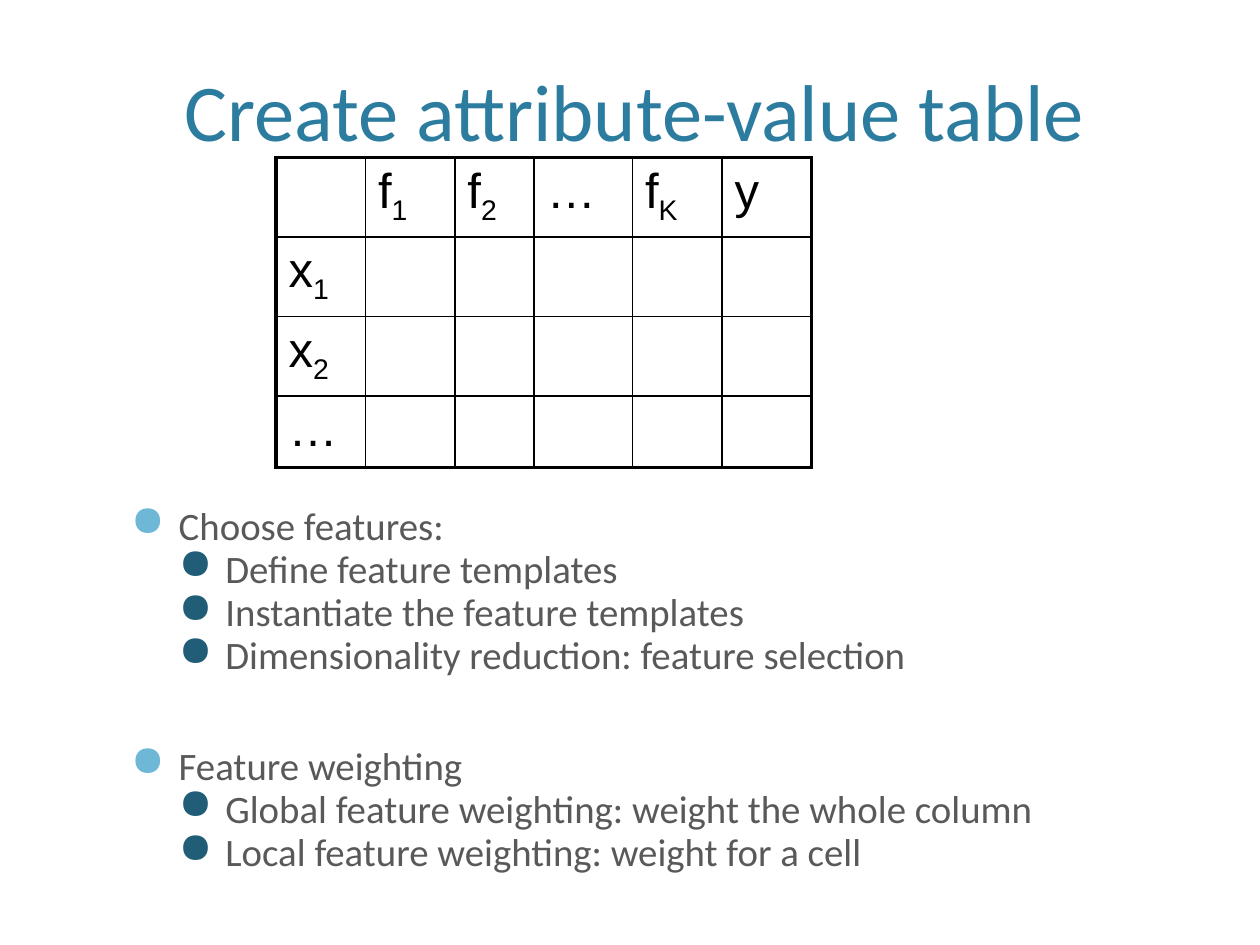
from typing import NamedTuple

from lxml import etree
from pptx import Presentation
from pptx import util as u
from pptx.dml.color import RGBColor
from pptx.enum import text
from pptx.oxml.ns import qn

COLORS = {"title": "2C7C9F", "body": "595959", "table": "000000",
          "bullet_0": "6FB7D7", "bullet_1": "215D77"}

# Slide grid: 100 columns by 75 rows of square units
COLUMNS, ROWS = 100, 75
UNIT = u.Inches(0.1)


class Area(NamedTuple):
    column: float
    row: float
    columns: float
    rows: float

    def lengths(self) -> list[int]:
        return [grid(n) for n in self]


class Point(NamedTuple):
    wording: str
    level: int = 1
    before: float = 6


class Symbol(NamedTuple):
    base: str
    index: str = ""


def grid(units: float) -> int:
    return round(units * UNIT)


def add_run(paragraph, wording: str, font: str, size: float, color: str):
    run = paragraph.add_run()
    run.text = wording
    for name, value in {"name": font, "size": u.Pt(size)}.items():
        setattr(run.font, name, value)
    run.font.color.rgb = RGBColor.from_string(COLORS[color])
    return run


def add_frame(slide, area: Area, **settings):
    frame = slide.shapes.add_textbox(*area.lengths()).text_frame
    formats = {"word_wrap": True, "vertical_anchor": text.MSO_ANCHOR.BOTTOM}
    for name, value in (formats | settings).items():
        setattr(frame, name, value)
    return frame


def add_bullet(paragraph, level: int) -> None:
    properties = paragraph._p.get_or_add_pPr()
    margin, hanging = [(0.38, 0.38), (0.75, 0.37)][level]
    properties.set("marL", str(u.Inches(margin)))
    properties.set("indent", str(-u.Inches(hanging)))
    color = etree.SubElement(properties, qn("a:buClr"))
    etree.SubElement(color, qn("a:srgbClr"), val=COLORS[f"bullet_{level}"])
    etree.SubElement(properties, qn("a:buSzPct"), val="110000")
    etree.SubElement(properties, qn("a:buChar"), char="●")


def add_points(frame, points: list[Point]) -> None:
    for number, point in enumerate(points):
        paragraph = frame.add_paragraph() if number else frame.paragraphs[0]
        formats = {"level": point.level, "line_spacing": 0.7,
                   "space_before": u.Pt(point.before)}
        for name, value in formats.items():
            setattr(paragraph, name, value)
        add_bullet(paragraph, point.level)
        add_run(paragraph, point.wording, "Calibri", 22.2, "body")


def set_borders(cell, outer_sides: dict[str, bool]) -> None:
    properties = cell._tc.get_or_add_tcPr()
    for position, (side, outer) in enumerate(outer_sides.items()):
        line = etree.Element(qn(f"a:ln{side}"), w=str(u.Pt(2.25 if outer else 1)))
        fill = etree.SubElement(line, qn("a:solidFill"))
        etree.SubElement(fill, qn("a:srgbClr"), val=COLORS["table"])
        properties.insert(position, line)


def write_symbol(cell, symbol: Symbol) -> None:
    paragraph = cell.text_frame.paragraphs[0]
    add_run(paragraph, symbol.base, "Arial", 28, "table")
    if symbol.index:
        index = add_run(paragraph, symbol.index, "Arial", 28, "table")
        index.font._element.set("baseline", "-25000")


def add_attribute_table(slide, area: Area, widths: list[float], heights: list[float],
                        features: list[Symbol], instances: list[Symbol]) -> None:
    table = slide.shapes.add_table(len(heights), len(widths), *area.lengths()).table
    table.first_row = table.horz_banding = False
    for column, width in zip(table.columns, widths):
        column.width = grid(width)
    for row, height in zip(table.rows, heights):
        row.height = grid(height)
    last_row, last_column = len(heights) - 1, len(widths) - 1
    for r in range(len(heights)):
        for c in range(len(widths)):
            cell = table.cell(r, c)
            cell.fill.background()
            set_borders(cell, {"L": c == 0, "R": c == last_column,
                               "T": r == 0, "B": r == last_row})
    # Feature names across the top, instance names down the side
    for c, feature in enumerate(features, 1):
        write_symbol(table.cell(0, c), feature)
    for r, instance in enumerate(instances, 1):
        write_symbol(table.cell(r, 0), instance)


def main() -> None:
    deck = Presentation()
    deck.slide_width, deck.slide_height = grid(COLUMNS), grid(ROWS)
    slide = deck.slides.add_slide(deck.slide_layouts[6])

    # Title
    title = add_frame(slide, Area(2.7, 0, 95.3, 12.5), margin_bottom=0).paragraphs[0]
    title.alignment = text.PP_ALIGN.CENTER
    add_run(title, "Create attribute-value table", "Calibri", 46, "title")

    # Steps
    steps = add_frame(slide, Area(9.4, 33.6, 85.8, 36.2))
    add_points(steps, [
        Point("Choose features:", 0, 0),
        Point("Define feature templates"),
        Point("Instantiate the feature templates"),
        Point("Dimensionality reduction: feature selection"),
        Point("Feature weighting", 0, 44.5),
        Point("Global feature weighting: weight the whole column"),
        Point("Local feature weighting: weight for a cell"),
    ])

    # Attribute-value table
    widths = [7.1, 7.1, 6.3, 7.8, 7.1, 7.1]
    heights = [6, 6, 6, 5.3]
    add_attribute_table(
        slide, Area(21.9, 12.5, sum(widths), sum(heights)), widths, heights,
        features=[Symbol("f", "1"), Symbol("f", "2"), Symbol("…"),
                  Symbol("f", "K"), Symbol("y")],
        instances=[Symbol("x", "1"), Symbol("x", "2"), Symbol("…")])

    deck.save("out.pptx")


if __name__ == "__main__":
    main()
